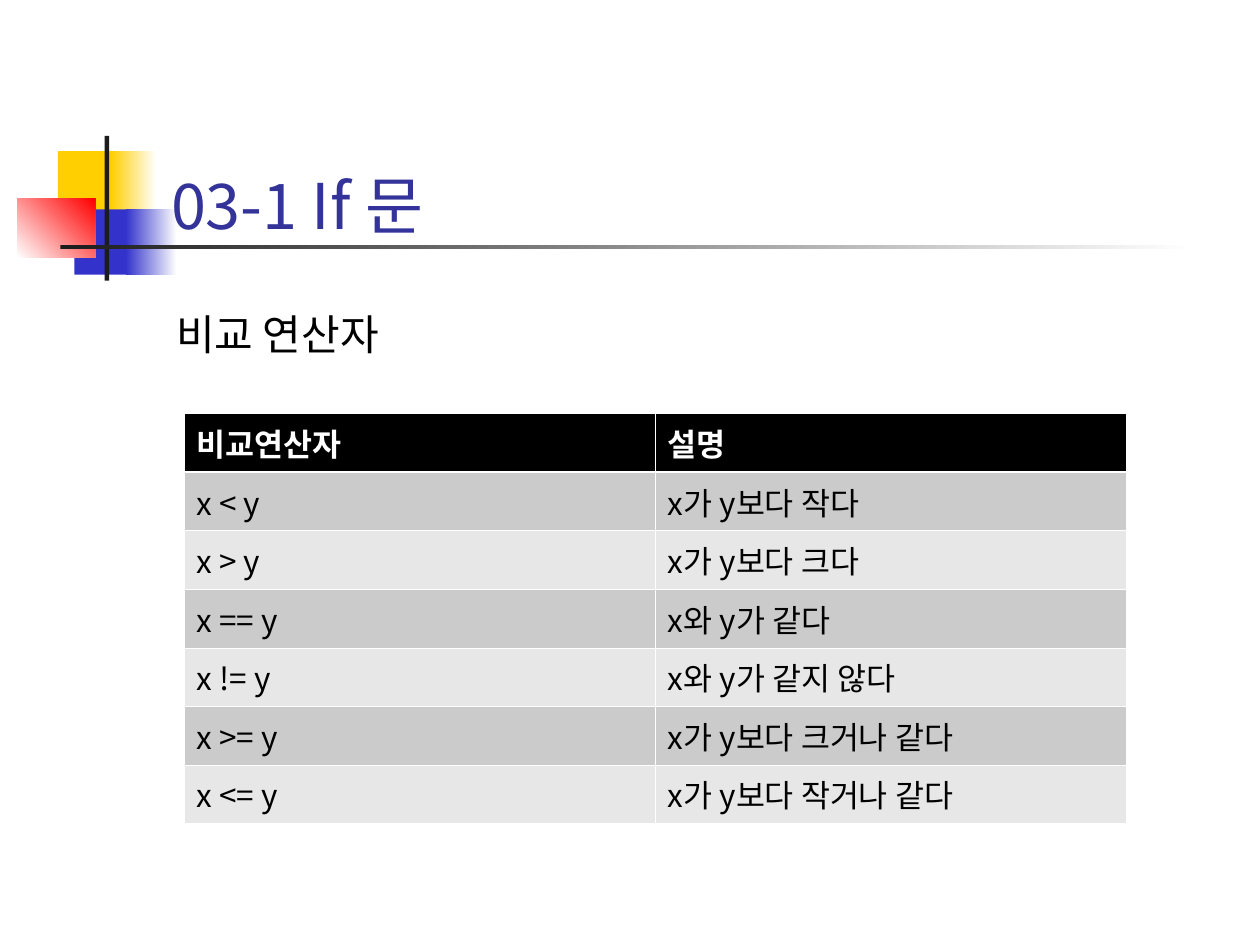
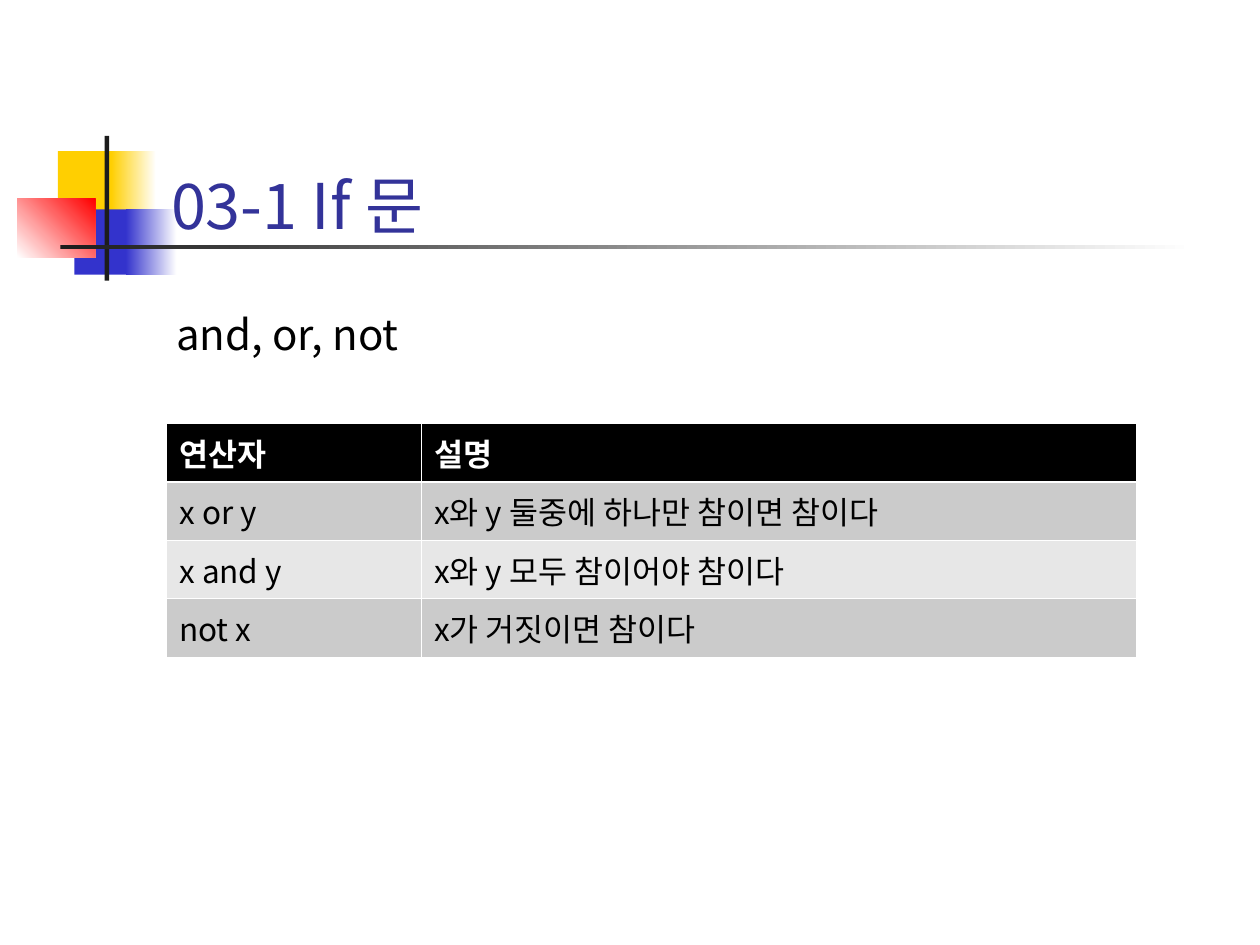
from lxml.etree import SubElement
from pptx import Presentation
from pptx.dml.color import RGBColor
from pptx.enum.shapes import MSO_SHAPE
from pptx.enum.text import MSO_ANCHOR
from pptx.oxml.ns import qn
from pptx.util import Cm, Pt

FONT = "Noto Sans CJK KR"
WHITE = RGBColor(0xFF, 0xFF, 0xFF)
BLACK = RGBColor(0x00, 0x00, 0x00)
YELLOW = RGBColor(0xFF, 0xCF, 0x01)
BLUE = RGBColor(0x33, 0x33, 0xCC)
RED = RGBColor(0xFF, 0x00, 0x00)
CHARCOAL = RGBColor(0x1C, 0x1C, 0x1C)
TITLE_BLUE = RGBColor(0x33, 0x33, 0x99)
ODD_ROW = RGBColor(0xCB, 0xCB, 0xCB)
EVEN_ROW = RGBColor(0xE7, 0xE7, 0xE7)

THIN, THICK = Pt(0.45), Pt(1.47)
ROW_HEIGHT = Cm(1.18)

# Left, top, width, height in cm, gradient angle, colours
ORNAMENTS = [
    (1.17, 3.05, 1.22, 1.32, 0, [YELLOW]),
    (2.24, 3.05, 0.91, 1.32, 0, [YELLOW, WHITE]),
    (1.5, 4.22, 1.17, 1.32, 0, [BLUE]),
    (2.54, 4.22, 1.02, 1.32, 0, [BLUE, WHITE]),
    (0.35, 4.01, 1.57, 1.18, 45, [WHITE, RED]),
    (2.11, 2.74, 0.09, 2.92, 0, [CHARCOAL]),
    (1.22, 4.94, 22.86, 0.09, 0, [CHARCOAL, WHITE]),
]

COMPARISON_ROWS = [
    ("비교연산자", "설명"),
    ("x < y", "x가 y보다 작다"),
    ("x > y", "x가 y보다 크다"),
    ("x == y", "x와 y가 같다"),
    ("x != y", "x와 y가 같지 않다"),
    ("x >= y", "x가 y보다 크거나 같다"),
    ("x <= y", "x가 y보다 작거나 같다"),
]
LOGIC_ROWS = [
    ("연산자", "설명"),
    ("x or y", "x와 y 둘중에 하나만 참이면 참이다"),
    ("x and y", "x와 y 모두 참이어야 참이다"),
    ("not x", "x가 거짓이면 참이다"),
]


class Deck:
    """Holds the presentation, its style and the slide being filled."""

    def __init__(self):
        self.presentation = Presentation()
        self.presentation.slide_width = Cm(25.4)
        self.presentation.slide_height = Cm(19.05)
        self.slide = None

    def add_slide(self, title, subtitle):
        blank = self.presentation.slide_layouts[6]
        self.slide = self.presentation.slides.add_slide(blank)
        for ornament in ORNAMENTS:
            self.add_block(*ornament)
        self.add_text(title, 3.2, 1.7, 19.71, 3.18, 36, TITLE_BLUE, MSO_ANCHOR.BOTTOM)
        self.add_text(subtitle, 3.3, 6.22, 19.6, 1.3, 24, BLACK, MSO_ANCHOR.TOP)

    def add_block(self, left, top, width, height, angle, colors):
        """Add a borderless rectangle, solid for one colour and fading for two."""
        shape = self.slide.shapes.add_shape(
            MSO_SHAPE.RECTANGLE, Cm(left), Cm(top), Cm(width), Cm(height))
        shape.shadow.inherit = False
        shape.line.fill.background()
        if len(colors) == 1:
            shape.fill.solid()
            shape.fill.fore_color.rgb = colors[0]
            return
        shape.fill.gradient()
        shape.fill.gradient_angle = angle
        for stop, color in zip(shape.fill.gradient_stops, colors):
            stop.color.rgb = color

    def add_text(self, text, left, top, width, height, size, color, anchor):
        box = self.slide.shapes.add_textbox(Cm(left), Cm(top), Cm(width), Cm(height))
        frame = box.text_frame
        frame.word_wrap = True
        frame.vertical_anchor = anchor
        frame.margin_top = frame.margin_bottom = 0
        self.add_run(frame.paragraphs[0], text, size, color)

    def add_run(self, paragraph, text, size, color, bold=False):
        run = paragraph.add_run()
        run.text = text
        font = run.font
        font.size, font.bold, font.name = Pt(size), bold, FONT
        font.color.rgb = color
        SubElement(run._r.get_or_add_rPr(), qn("a:ea"), typeface=FONT)

    def add_table(self, rows, left, top, column_widths):
        table = self.slide.shapes.add_table(
            len(rows), len(column_widths), Cm(left), Cm(top),
            Cm(sum(column_widths)), ROW_HEIGHT * len(rows)).table
        for column, width in zip(table.columns, column_widths):
            column.width = Cm(width)
        for row_index, texts in enumerate(rows):
            table.rows[row_index].height = ROW_HEIGHT
            for column_index, text in enumerate(texts):
                self.fill_cell(table.cell(row_index, column_index), text, row_index)

    def fill_cell(self, cell, text, row_index):
        is_header = row_index == 0
        self.add_borders(cell, top=THICK if row_index == 1 else THIN,
                         bottom=THICK if is_header else THIN)
        cell.fill.solid()
        band = ODD_ROW if row_index % 2 else EVEN_ROW
        cell.fill.fore_color.rgb = BLACK if is_header else band
        self.add_run(cell.text_frame.paragraphs[0], text, 18,
                     WHITE if is_header else BLACK, is_header)

    def add_borders(self, cell, top, bottom):
        """Draw white cell borders; must run before the cell gets its fill."""
        properties = cell._tc.get_or_add_tcPr()
        for side, width in zip("LRTB", (THIN, THIN, top, bottom)):
            line = SubElement(properties, qn(f"a:ln{side}"), w=str(width))
            fill = SubElement(line, qn("a:solidFill"))
            SubElement(fill, qn("a:srgbClr"), val=str(WHITE))


def main():
    deck = Deck()
    deck.add_slide("03-1 If 문", "비교 연산자")
    deck.add_table(COMPARISON_ROWS, 3.71, 8.34, (9.5, 9.5))
    deck.add_slide("03-1 If 문", "and, or, not")
    deck.add_table(LOGIC_ROWS, 3.36, 8.53, (5.14, 14.4))
    deck.presentation.save("out.pptx")


if __name__ == "__main__":
    main()
